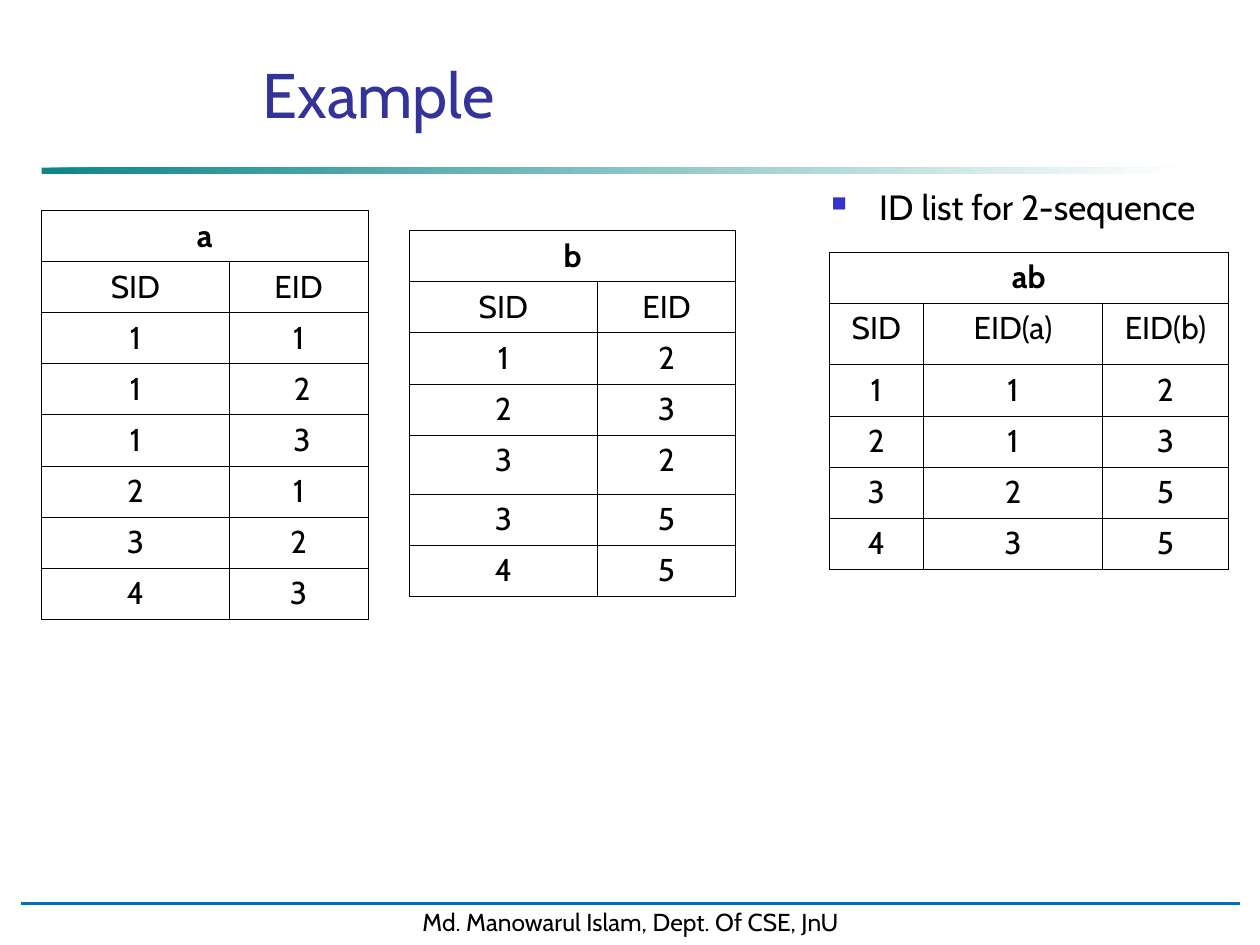
from lxml.etree import SubElement
from pptx import Presentation
from pptx.dml.color import RGBColor
from pptx.enum.shapes import MSO_CONNECTOR, MSO_SHAPE
from pptx.enum.text import MSO_ANCHOR, MSO_AUTO_SIZE, PP_ALIGN
from pptx.oxml import parse_xml
from pptx.oxml.ns import nsdecls, qn
from pptx.util import Inches, Pt

FONT = "Cabin"
BLACK, WHITE = "000000", "FFFFFF"
ROW = 0.405


def rgb(value):
    return RGBColor.from_string(value)


def write(tf, text, size, color=BLACK, bold=False, align=PP_ALIGN.CENTER):
    p = tf.paragraphs[0]
    p.alignment = align
    r = p.add_run()
    r.text = text
    for name, value in dict(name=FONT, size=Pt(size), bold=bold).items():
        setattr(r.font, name, value)
    r.font.color.rgb = rgb(color)
    return p


def place(sp, box):
    for name, value in zip(("left", "top", "width", "height"), box):
        setattr(sp, name, Inches(value))


def add_title(s, box, text):
    sp = s.shapes.title
    place(sp, box)
    tf = sp.text_frame
    tf.auto_size = MSO_AUTO_SIZE.NONE
    tf.vertical_anchor = MSO_ANCHOR.BOTTOM
    write(tf, text, 36, "333399")


def add_rect(s, box):
    sp = s.shapes.add_shape(MSO_SHAPE.RECTANGLE, *map(Inches, box))
    sp.shadow.inherit = False
    return sp


def add_title_rule(s, box):
    """Draw a bar that fades from teal to white."""
    sp = add_rect(s, box)
    sp.line.fill.background()
    sp.fill.gradient()
    sp.fill.gradient_angle = 0
    for stop, color, position in zip(sp.fill.gradient_stops, ("008080", WHITE), (0, 1)):
        stop.color.rgb = rgb(color)
        stop.position = position
    for color in sp._element.spPr.iter(qn("a:srgbClr")):
        SubElement(color, qn("a:alpha"), val="95000")


def add_footer(s, box, text):
    sp = add_rect(s, box)
    sp.fill.solid()
    sp.fill.fore_color.rgb = rgb(WHITE)
    sp.line.color.rgb = rgb(WHITE)
    sp.line.width = Pt(2)
    write(sp.text_frame, text, 14)

    left, top, width, _ = box
    y = top + 0.02
    rule = s.shapes.add_connector(
        MSO_CONNECTOR.STRAIGHT, *map(Inches, (left, y, left + width, y)))
    rule.line.color.rgb = rgb("0070C0")
    rule.line.width = Pt(1.75)
    SubElement(rule._element.spPr, qn("a:effectLst"))


def style_cell(cell):
    cell.fill.solid()
    cell.fill.fore_color.rgb = rgb(WHITE)
    tcPr = cell._tc.get_or_add_tcPr()
    for i, side in enumerate("LRTB"):
        tcPr.insert(i, parse_xml(
            f'<a:ln{side} {nsdecls("a")} w="{int(Pt(0.45))}"><a:solidFill>'
            f'<a:srgbClr val="{BLACK}"/></a:solidFill></a:ln{side}>'))


def add_id_list(s, left, top, name, widths, rows, tall=None):
    """Add a table headed by a sequence name; tall maps row number to height."""
    heights = [(tall or {}).get(i, ROW) for i in range(len(rows) + 1)]
    box = left, top, sum(widths), sum(heights)
    table = s.shapes.add_table(len(heights), len(widths), *map(Inches, box)).table
    for col, width in zip(table.columns, widths):
        col.width = Inches(width)
    for row, height in zip(table.rows, heights):
        row.height = Inches(height)
    for cell in table.iter_cells():
        style_cell(cell)
    table.cell(0, 0).merge(table.cell(0, len(widths) - 1))
    write(table.cell(0, 0).text_frame, name, 18, bold=True)
    for i, row in enumerate(rows, 1):
        for j, text in enumerate(row):
            write(table.cell(i, j).text_frame, text, 18)


def add_bullet(s, box, text):
    tf = s.shapes.add_textbox(*map(Inches, box)).text_frame
    tf.word_wrap = True
    p = write(tf, text, 20, align=PP_ALIGN.LEFT)
    p.space_before = Pt(5)
    pPr = p._p.get_or_add_pPr()
    indent = Inches(0.38)
    pPr.set("marL", str(indent))
    pPr.set("indent", str(-indent))
    SubElement(SubElement(pPr, qn("a:buClr")), qn("a:srgbClr"), val="3333CC")
    SubElement(pPr, qn("a:buSzPct"), val="60000")
    SubElement(pPr, qn("a:buChar"), char="■")


def main():
    prs = Presentation()
    prs.slide_width, prs.slide_height = Inches(10), Inches(7.5)
    s = prs.slides.add_slide(prs.slide_layouts[5])

    add_title_rule(s, (0.33, 1.33, 9, 0.05))
    add_footer(s, (0.17, 7.15, 9.67, 0.33), "Md. Manowarul Islam, Dept. Of CSE, JnU")
    add_title(s, (0.67, 0.42, 4.67, 0.67), "Example")

    pair = (1.49, 1.1)
    head = ("SID", "EID")
    add_id_list(s, 3.25, 1.83, "b", pair,
                [head, "12", "23", "32", "35", "45"], {4: 0.47})
    add_id_list(s, 0.33, 1.67, "a", pair,
                [head, "11", ("1", " 2"), ("1", " 3"), "21", "32", "43"])
    add_id_list(s, 6.58, 2, "ab", (0.75, 1.42, 1),
                [("SID", "EID(a)", "EID(b)"), "112", "213", "325", "435"], {1: 0.49})
    add_bullet(s, (6.5, 1.42, 3.5, 0.83), "ID list for 2-sequence")
    prs.save("out.pptx")


if __name__ == "__main__":
    main()
